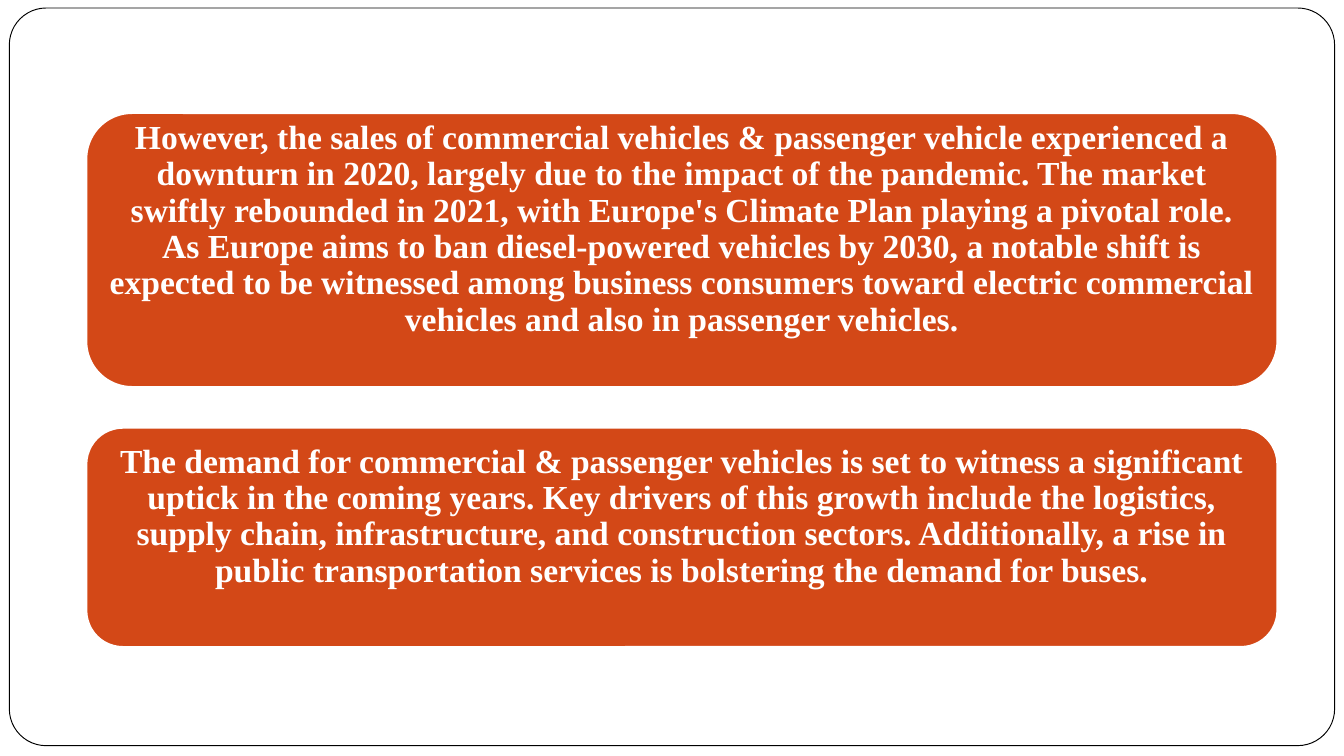
from pptx import Presentation
from pptx.dml.color import RGBColor
from pptx.enum.shapes import MSO_SHAPE
from pptx.enum.text import MSO_ANCHOR, PP_ALIGN
from pptx.util import Pt

ROUNDED = MSO_SHAPE.ROUNDED_RECTANGLE
MIDDLE = MSO_ANCHOR.MIDDLE
CENTER = PP_ALIGN.CENTER

WHITE = RGBColor(0xFF, 0xFF, 0xFF)
BLACK = RGBColor(0x00, 0x00, 0x00)
ORANGE = RGBColor(0xD3, 0x48, 0x17)

CARD_LEFT = 46.3
CARD_WIDTH = 638

CARDS = [
    (60.6, 146.7,
     "However, the sales of commercial vehicles & passenger vehicle experienced a "
     "downturn in 2020, largely due to the impact of the pandemic. The market swiftly "
     "rebounded in 2021, with Europe's Climate Plan playing a pivotal role. As Europe "
     "aims to ban diesel-powered vehicles by 2030, a notable shift is expected to be "
     "witnessed among business consumers toward electric commercial vehicles and also "
     "in passenger vehicles."),
    (229.2, 117.4,
     "The demand for commercial & passenger vehicles is set to witness a significant "
     "uptick in the coming years. Key drivers of this growth include the logistics, "
     "supply chain, infrastructure, and construction sectors. Additionally, a rise in "
     "public transportation services is bolstering the demand for buses."),
]


class SlideBuilder:
    font_name = "Times New Roman"
    font_size = Pt(18)
    margin = Pt(5)
    bottom_margin = Pt(27)

    def __init__(self, slide):
        self.slide = slide

    def rounded_box(self, left, top, width, height, fill, line, line_width):
        shape = self.slide.shapes.add_shape(
            ROUNDED, Pt(left), Pt(top), Pt(width), Pt(height))
        shape.shadow.inherit = False
        shape.fill.solid()
        shape.fill.fore_color.rgb = fill
        shape.line.color.rgb = line
        shape.line.width = Pt(line_width)
        return shape

    def frame(self):
        shape = self.rounded_box(5, 4.3, 710, 395.2, WHITE, BLACK, 0.5)
        shape.adjustments[0] = 0.05

    def card(self, top, height, text):
        shape = self.rounded_box(CARD_LEFT, top, CARD_WIDTH, height, ORANGE, WHITE, 1)
        text_frame = shape.text_frame
        text_frame.word_wrap = True
        text_frame.vertical_anchor = MIDDLE
        text_frame.margin_left = text_frame.margin_right = self.margin
        text_frame.margin_top = self.margin
        text_frame.margin_bottom = self.bottom_margin
        paragraph = text_frame.paragraphs[0]
        paragraph.alignment = CENTER
        paragraph.line_spacing = 0.9
        run = paragraph.add_run()
        run.text = text
        run.font.name = self.font_name
        run.font.size = self.font_size
        run.font.bold = True
        run.font.color.rgb = WHITE


def main():
    presentation = Presentation()
    presentation.slide_width = Pt(720)
    presentation.slide_height = Pt(405)
    blank_layout = presentation.slide_layouts[6]
    builder = SlideBuilder(presentation.slides.add_slide(blank_layout))
    builder.frame()
    for top, height, text in CARDS:
        builder.card(top, height, text)
    presentation.save("out.pptx")


if __name__ == "__main__":
    main()
